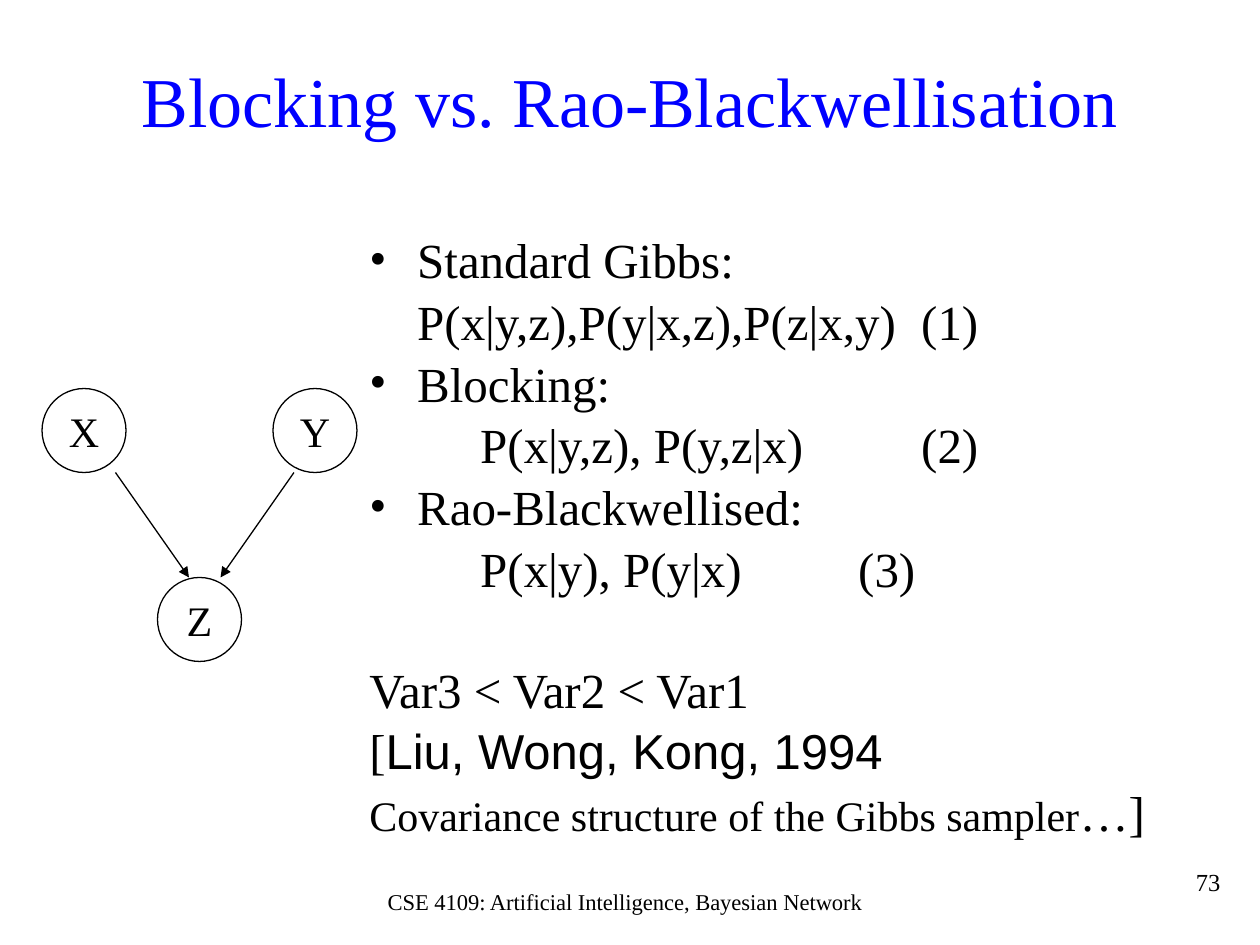
from lxml.etree import SubElement
from pptx import Presentation
from pptx.dml.color import RGBColor
from pptx.enum.shapes import MSO_CONNECTOR, MSO_SHAPE
from pptx.enum.text import MSO_ANCHOR, PP_ALIGN
from pptx.oxml.ns import qn
from pptx.util import Inches, Pt

BLACK = RGBColor(0x00, 0x00, 0x00)
WHITE = RGBColor(0xFF, 0xFF, 0xFF)
BLUE = RGBColor(0x00, 0x00, 0xFF)
SERIF, SANS = "Times New Roman", "Arial"

# Grid of 120 columns by 90 rows on a 10 by 7.5 inch slide
COLUMNS, ROWS = 120, 90
NODE_SIZE = 8
HANGING = Inches(0.38)
LINE_HEIGHT = 34


class NetworkSlide:
    """Holds the style and the slide, and draws each kind of element."""

    def __init__(self, deck):
        self.cell_w = deck.slide_width / COLUMNS
        self.cell_h = deck.slide_height / ROWS
        self.slide = deck.slides.add_slide(deck.slide_layouts[6])

    def place(self, column, row):
        return round(column * self.cell_w), round(row * self.cell_h)

    def add_words(self, paragraph, text, size, font=SERIF, color=BLACK):
        run = paragraph.add_run()
        run.text = text
        run.font.color.rgb = color
        for name, value in {"name": font, "size": Pt(size)}.items():
            setattr(run.font, name, value)

    def frame(self, column, row, columns, rows, anchor=MSO_ANCHOR.TOP):
        box = self.slide.shapes.add_textbox(
            *self.place(column, row), *self.place(columns, rows))
        box.text_frame.word_wrap = True
        box.text_frame.vertical_anchor = anchor
        return box.text_frame

    def label(self, text, area, size, align, color=BLACK, anchor=MSO_ANCHOR.TOP):
        paragraph = self.frame(*area, anchor).paragraphs[0]
        paragraph.alignment = align
        self.add_words(paragraph, text, size, color=color)

    def hang(self, paragraph, bullet):
        """Set the hanging indent, the bullet and one tab stop per inch."""
        properties = paragraph._p.get_or_add_pPr()
        for name, value in {"marL": HANGING, "indent": -HANGING}.items():
            properties.set(name, str(int(value)))
        if bullet:
            SubElement(properties, qn("a:buFont"), typeface=SERIF)
            SubElement(properties, qn("a:buChar"), char="•")
        else:
            SubElement(properties, qn("a:buNone"))
        stops = SubElement(properties, qn("a:tabLst"))
        for inch in range(8):
            SubElement(stops, qn("a:tab"), pos=str(int(Inches(inch))), algn="l")

    def body(self, area, lines):
        frame = self.frame(*area)
        for index, (bullet, before, runs) in enumerate(lines):
            paragraph = frame.paragraphs[0] if index == 0 else frame.add_paragraph()
            self.hang(paragraph, bullet)
            paragraph.line_spacing = 0.84
            paragraph.space_before = Pt(before)
            for text, size, font in runs:
                self.add_words(paragraph, text, size, font)

    def node(self, name, column, row):
        circle = self.slide.shapes.add_shape(
            MSO_SHAPE.OVAL, *self.place(column, row), *self.place(NODE_SIZE, NODE_SIZE))
        circle.shadow.inherit = False
        circle.fill.solid()
        circle.fill.fore_color.rgb = WHITE
        circle.line.color.rgb = BLACK
        circle.line.width = Pt(0.75)
        frame = circle.text_frame
        frame.word_wrap = False
        frame.vertical_anchor = MSO_ANCHOR.MIDDLE
        frame.paragraphs[0].alignment = PP_ALIGN.CENTER
        self.add_words(frame.paragraphs[0], name, 24)

    def arrow(self, start, end):
        edge = self.slide.shapes.add_connector(
            MSO_CONNECTOR.STRAIGHT, *self.place(*start), *self.place(*end))
        edge.line.color.rgb = BLACK
        edge.line.width = Pt(0.75)
        properties = edge._element.spPr
        SubElement(properties.find(qn("a:ln")), qn("a:tailEnd"), type="triangle")
        SubElement(properties, qn("a:effectLst"))


def line(*runs, bullet=False, before=7):
    return bullet, before, runs


def plain(text, **options):
    return line((text, 28, SERIF), **options)


def main():
    deck = Presentation()
    deck.slide_width, deck.slide_height = Inches(10), Inches(7.5)
    network = NetworkSlide(deck)

    # Page number and title
    network.label("73", (92.4, 82, 25, 6), 14, PP_ALIGN.RIGHT)
    network.label("Blocking vs. Rao-Blackwellisation", (9, 2, 102, 15), 40,
                  PP_ALIGN.CENTER, BLUE, MSO_ANCHOR.MIDDLE)

    # Sampling schemes, variance order and reference
    network.body((34, 22.2, 83.5, 58.3), [
        plain("Standard Gibbs:", bullet=True, before=0),
        plain("\tP(x|y,z),P(y|x,z),P(z|x,y)\t(1)"),
        plain("Blocking:", bullet=True),
        plain("\t\tP(x|y,z), P(y,z|x)\t\t(2)"),
        plain("Rao-Blackwellised:", bullet=True),
        plain("\t\tP(x|y), P(y|x)\t\t(3)"),
        plain("Var3 < Var2 < Var1", before=7 + LINE_HEIGHT),
        line(("[", 28, SERIF), ("Liu, Wong, Kong, 1994", 28, SANS)),
        line(("Covariance structure of the Gibbs sampler", 24, SERIF),
             ("…]", 28, SERIF)),
    ])

    # Network: X and Y are the parents of Z
    for name, column, row in (("X", 4, 37), ("Y", 26, 37), ("Z", 15, 55)):
        network.node(name, column, row)
    for start, end in ((11, 18), (28, 21)):
        network.arrow((start, 45), (end, 55))

    # Footer
    network.label("CSE 4109: Artificial Intelligence, Bayesian Network",
                  (29, 84, 61, 4), 12.9, PP_ALIGN.CENTER)
    deck.save("out.pptx")


if __name__ == "__main__":
    main()
